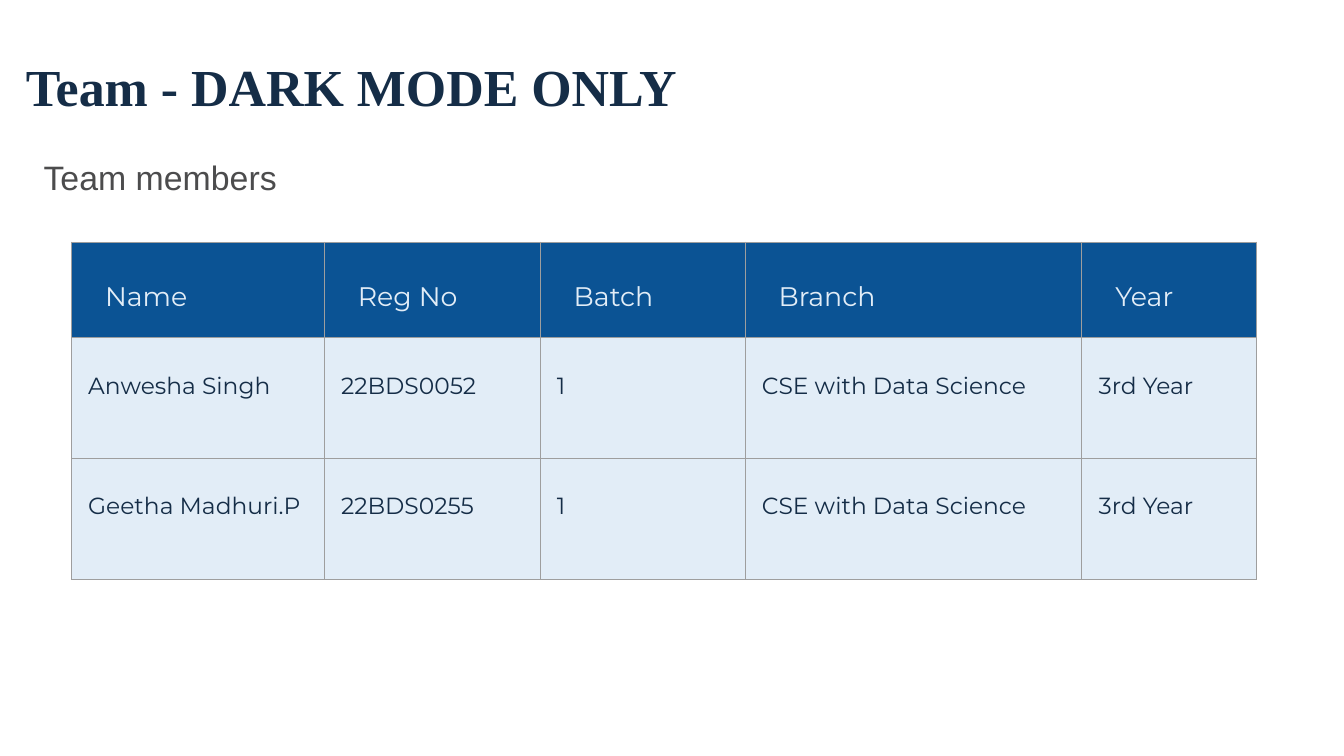
from dataclasses import dataclass

from lxml.etree import SubElement
from pptx import Presentation
from pptx.dml.color import RGBColor
from pptx.enum.shapes import MSO_SHAPE
from pptx.enum.text import MSO_AUTO_SIZE
from pptx.oxml.ns import qn
from pptx.util import Inches, Pt


@dataclass(frozen=True)
class Theme:
    backdrop: str = "212121"
    panel: str = "FFFFFF"
    ink: str = "152D47"
    muted: str = "4C4C4D"
    header: str = "0B5394"
    pale: str = "E2EDF7"
    border: str = "9E9E9E"
    title_font: str = "Times New Roman"
    subtitle_font: str = "Arial"
    table_font: str = "Montserrat"
    title_size: float = 44.5
    subtitle_size: float = 29
    header_size: float = 23
    body_size: float = 20
    border_width: float = 0.75


THEME = Theme()
COLUMN_WIDTHS = (3.01, 2.57, 2.44, 4.01, 2.08)
ROW_HEIGHTS = (1.14, 1.44, 1.44)
TEAM = (
    ("Name", "Reg No", "Batch", "Branch", "Year"),
    ("Anwesha Singh", "22BDS0052", "1", "CSE with Data Science", "3rd Year"),
    ("Geetha Madhuri.P", "22BDS0255", "1", "CSE with Data Science", "3rd Year"),
)


def rgb(color):
    return RGBColor.from_string(color)


def style_text(p, font, size, color, bold=False):
    for r in p.runs:
        r.font.name = font
        r.font.size = Pt(size)
        r.font.color.rgb = rgb(color)
        r.font.bold = bold


def set_insets(target, left, top, right, bottom):
    target.margin_left = Inches(left)
    target.margin_top = Inches(top)
    target.margin_right = Inches(right)
    target.margin_bottom = Inches(bottom)


def add_background(s, width, height):
    fill = s.background.fill
    fill.solid()
    fill.fore_color.rgb = rgb(THEME.backdrop)
    panel = s.shapes.add_shape(MSO_SHAPE.RECTANGLE, 0, 0, width, height)
    panel.shadow.inherit = False
    panel.fill.solid()
    panel.fill.fore_color.rgb = rgb(THEME.panel)
    panel.line.fill.background()


def add_text(s, box, text, font, size, color, bold=False):
    tf = s.shapes.add_textbox(*map(Inches, box)).text_frame
    tf.word_wrap = True
    set_insets(tf, 0.1, 0.1, 0.1, 0.1)
    tf.text = text
    style_text(tf.paragraphs[0], font, size, color, bold)
    return tf


def add_heading(s, box):
    tf = add_text(s, box, "Team - DARK MODE ONLY", THEME.title_font,
                  THEME.title_size, THEME.ink, bold=True)
    tf.auto_size = MSO_AUTO_SIZE.SHAPE_TO_FIT_TEXT
    tf.paragraphs[0].line_spacing = 1.25


def add_subtitle(s, box):
    add_text(s, box, "Team members", THEME.subtitle_font,
             THEME.subtitle_size, THEME.muted)


def add_borders(cell):
    tc_pr = cell._tc.get_or_add_tcPr()
    for side in ("a:lnL", "a:lnR", "a:lnT", "a:lnB"):
        ln = SubElement(tc_pr, qn(side), w=str(Pt(THEME.border_width)))
        fill = SubElement(ln, qn("a:solidFill"))
        SubElement(fill, qn("a:srgbClr"), val=THEME.border)


def fill_cell(cell, text, is_header):
    add_borders(cell)
    cell.fill.solid()
    cell.fill.fore_color.rgb = rgb(THEME.header if is_header else THEME.pale)
    set_insets(cell, 0.1, 0.4, 0.1, 0.3)
    cell.text = text
    p = cell.text_frame.paragraphs[0]
    indent = Inches(0.3 if is_header else 0.1)
    p._p.get_or_add_pPr().set("marL", str(indent))
    if is_header:
        p.line_spacing = 1.15
        style_text(p, THEME.table_font, THEME.header_size, THEME.pale)
    else:
        style_text(p, THEME.table_font, THEME.body_size, THEME.ink)


def add_team_table(s, left, top):
    box = map(Inches, (left, top, sum(COLUMN_WIDTHS), sum(ROW_HEIGHTS)))
    table = s.shapes.add_table(len(TEAM), len(COLUMN_WIDTHS), *box).table
    table.first_row = False
    table.horz_banding = False
    for column, width in zip(table.columns, COLUMN_WIDTHS):
        column.width = Inches(width)
    for row, height in zip(table.rows, ROW_HEIGHTS):
        row.height = Inches(height)
    for i, member in enumerate(TEAM):
        for j, text in enumerate(member):
            fill_cell(table.cell(i, j), text, is_header=i == 0)


def build_team_slide(prs):
    s = prs.slides.add_slide(prs.slide_layouts[6])
    add_background(s, prs.slide_width, prs.slide_height)
    add_heading(s, (0.21, 0.36, 8.35, 0.95))
    add_subtitle(s, (0.42, 1.77, 5.21, 0.66))
    add_team_table(s, 0.85, 2.88)


def main():
    prs = Presentation()
    prs.slide_width = Inches(16)
    prs.slide_height = Inches(9)
    build_team_slide(prs)
    prs.save("out.pptx")


if __name__ == "__main__":
    main()
